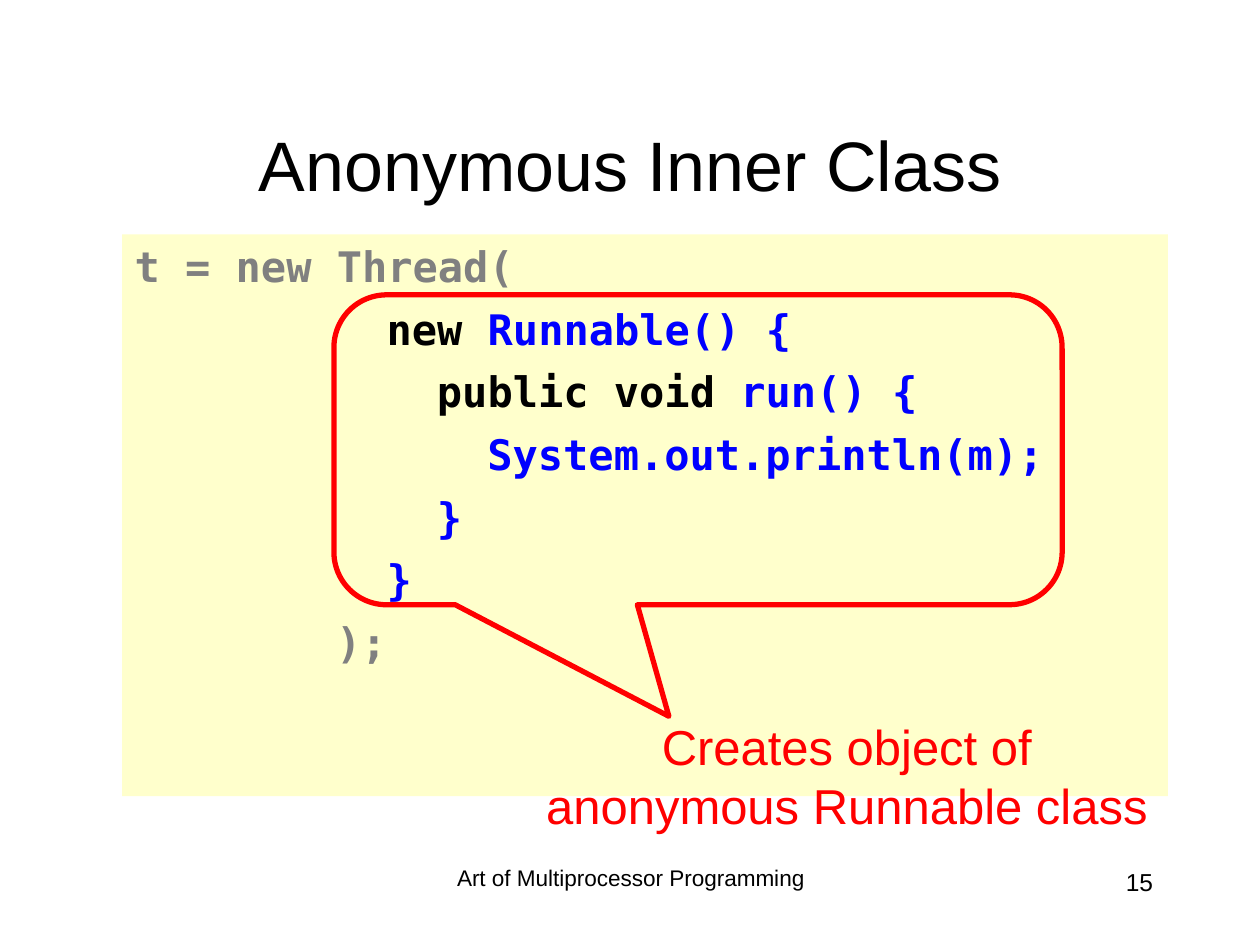
from pptx import Presentation
from pptx import util as u
from pptx.dml.color import RGBColor
from pptx.enum import shapes, text

COLORS = {
    "black": "000000",
    "gray": "808080",
    "blue": "0000FF",
    "red": "FF0000",
    "cream": "FFFFCC",
}
BODY_FONT = "Arial"
CODE_FONT = "DejaVu Sans Mono"
CODE_SIZE = 24
CHARACTER_WIDTH = 0.2  # inches, one code character

# Each line: indent in characters, then its coloured pieces
CODE_LINES = [
    (0, [("t = new Thread(", "gray")]),
    (10, [("new", "black"), (" Runnable() {", "blue")]),
    (12, [("public void", "black"), (" run() {", "blue")]),
    (14, [("System.out.println(m);", "blue")]),
    (12, [("}", "blue")]),
    (10, [("}", "blue")]),
    (8, [(");", "gray")]),
]


def rgb(name):
    return RGBColor.from_string(COLORS[name])


def inches(box):
    return [u.Inches(length) for length in box]


def add_run(paragraph, words, size, color, font=BODY_FONT, bold=False):
    run = paragraph.add_run()
    run.text = words
    run.font.name = font
    run.font.size = u.Pt(size)
    run.font.bold = bold
    run.font.color.rgb = rgb(color)


def add_label(slide, box, words, size, color="black",
              align=text.PP_ALIGN.CENTER, anchor=text.MSO_ANCHOR.TOP,
              line_spacing=1.0):
    frame = slide.shapes.add_textbox(*inches(box)).text_frame
    frame.word_wrap = True
    frame.vertical_anchor = anchor
    paragraph = frame.paragraphs[0]
    paragraph.alignment = align
    paragraph.line_spacing = line_spacing
    add_run(paragraph, words, size, color)


def add_code_panel(slide, box):
    panel = slide.shapes.add_shape(shapes.MSO_SHAPE.RECTANGLE, *inches(box))
    panel.shadow.inherit = False
    panel.fill.solid()
    panel.fill.fore_color.rgb = rgb("cream")
    panel.line.fill.background()
    frame = panel.text_frame
    frame.word_wrap = True
    frame.vertical_anchor = text.MSO_ANCHOR.TOP
    for index, (indent, pieces) in enumerate(CODE_LINES):
        paragraph = frame.add_paragraph() if index else frame.paragraphs[0]
        paragraph.alignment = text.PP_ALIGN.LEFT
        paragraph.space_before = u.Pt(7 if index else 0)
        margin = u.Inches(indent * CHARACTER_WIDTH)
        paragraph._p.get_or_add_pPr().set("marL", str(margin))
        for words, color in pieces:
            add_run(paragraph, words, CODE_SIZE, color, CODE_FONT, True)


def add_callout(slide, box):
    callout = slide.shapes.add_shape(
        shapes.MSO_SHAPE.ROUNDED_RECTANGULAR_CALLOUT, *inches(box))
    callout.shadow.inherit = False
    callout.fill.background()
    callout.line.color.rgb = rgb("red")
    callout.line.width = u.Pt(3)
    for index, value in enumerate((-0.04, 0.86, 0.17)):
        callout.adjustments[index] = value


def add_footer(slide, top):
    add_label(slide, (3.42, top, 3.17, 0.5),
              "Art of Multiprocessor Programming", 12.9, line_spacing=0.9)
    add_label(slide, (7.17, top, 2.08, 0.5), "15", 14,
              align=text.PP_ALIGN.RIGHT)


def main():
    presentation = Presentation()
    presentation.slide_width = u.Inches(10)
    presentation.slide_height = u.Inches(7.5)
    slide = presentation.slides.add_slide(presentation.slide_layouts[6])
    add_footer(slide, 6.83)
    add_label(slide, (0.75, 0.67, 8.5, 1.25), "Anonymous Inner Class", 40,
              anchor=text.MSO_ANCHOR.MIDDLE)
    add_code_panel(slide, (0.97, 1.86, 8.3, 4.46))
    add_callout(slide, (2.65, 2.34, 5.78, 2.46))
    add_label(slide, (4.23, 5.64, 4.98, 1.04),
              "Creates object of anonymous Runnable class", 28, "red")
    presentation.save("out.pptx")


if __name__ == "__main__":
    main()
